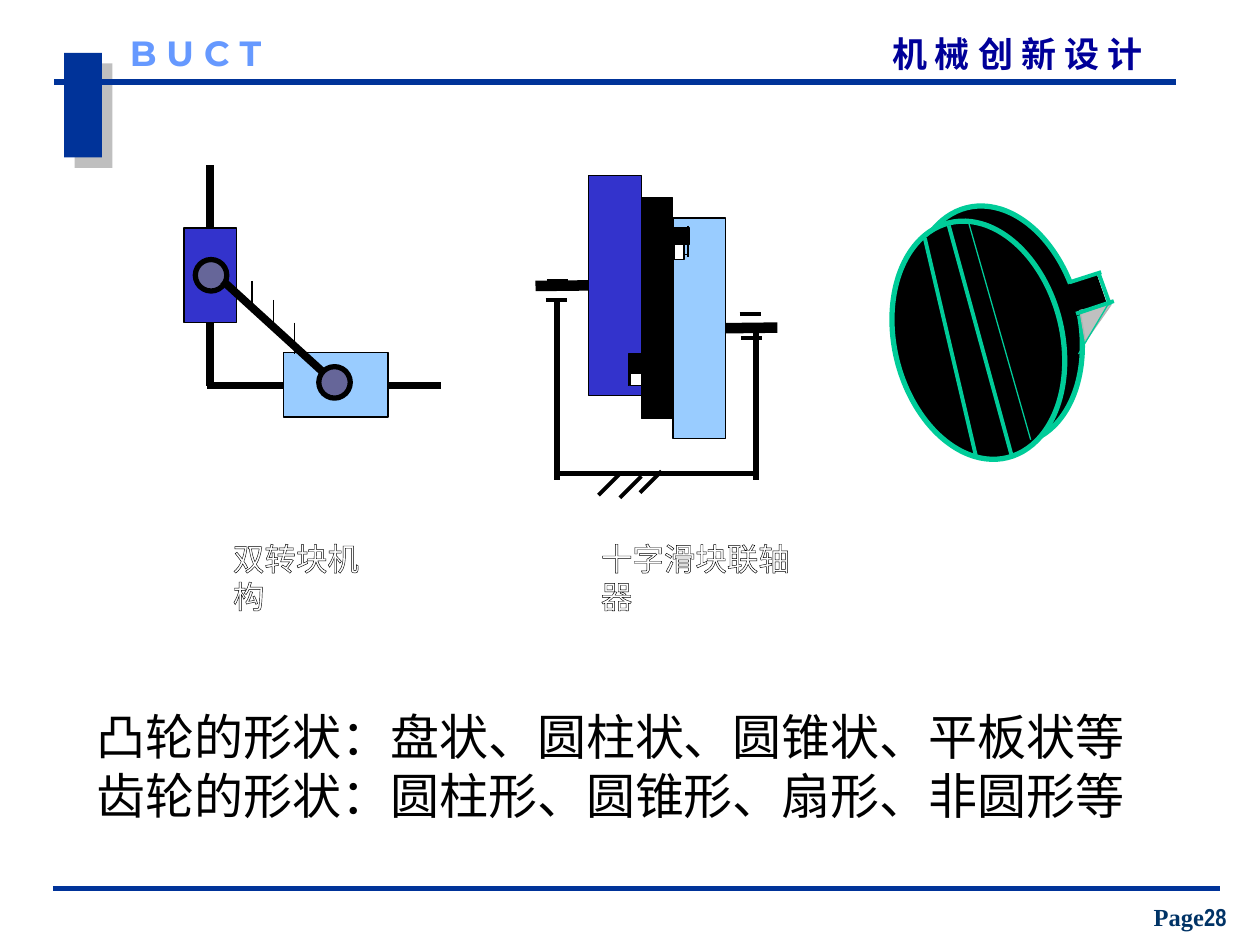
from dataclasses import dataclass

from lxml.etree import SubElement
from pptx import Presentation
from pptx.dml.color import RGBColor
from pptx.enum.shapes import MSO_CONNECTOR, MSO_SHAPE
from pptx.enum.text import MSO_ANCHOR, PP_ALIGN
from pptx.oxml import parse_xml
from pptx.oxml.ns import nsdecls, qn
from pptx.util import Inches, Pt

COLORS = {
    "rule": "003399", "title": "000099", "school": "6699FF", "page": "003366",
    "black": "000000", "white": "FFFFFF", "driver": "3333CC", "driven": "99CCFF",
    "pin": "666699", "edge": "00CC99", "face": "C0C0C0", "face_line": "B2B2B2",
    "shadow": "808080",
}
CJK_FONT = "Noto Sans CJK SC"


@dataclass
class Block:
    left: float
    top: float
    width: float
    height: float
    fill: str
    line: str | None = "black"
    weight: float = 0.75
    preset: MSO_SHAPE = MSO_SHAPE.RECTANGLE
    rotation: float = 0


@dataclass
class Segment:
    x1: float
    y1: float
    x2: float
    y2: float
    weight: float = 0.75
    color: str = "black"


@dataclass
class TextRun:
    text: str
    size: float
    font: str
    color: str
    bold: bool = False
    outlined: bool = False


def rgb(name: str) -> RGBColor:
    return RGBColor.from_string(COLORS[name])


def draw_block(slide, block: Block):
    shape = slide.shapes.add_shape(
        block.preset, Inches(block.left), Inches(block.top),
        Inches(block.width), Inches(block.height))
    shape.shadow.inherit = False
    shape.rotation = block.rotation
    shape.fill.solid()
    shape.fill.fore_color.rgb = rgb(block.fill)
    if block.line is None:
        shape.line.fill.background()
    else:
        shape.line.color.rgb = rgb(block.line)
        shape.line.width = Pt(block.weight)
    return shape


def draw_segment(slide, segment: Segment):
    connector = slide.shapes.add_connector(
        MSO_CONNECTOR.STRAIGHT, Inches(segment.x1), Inches(segment.y1),
        Inches(segment.x2), Inches(segment.y2))
    connector.line.color.rgb = rgb(segment.color)
    connector.line.width = Pt(segment.weight)
    SubElement(connector._element.spPr, qn("a:effectLst"))
    return connector


def draw_text(slide, left: float, top: float, width: float, height: float,
              lines: list[list[TextRun]], inset: bool = True, wrap: bool = True,
              align: PP_ALIGN = PP_ALIGN.LEFT, anchor: MSO_ANCHOR = MSO_ANCHOR.TOP) -> None:
    box = slide.shapes.add_textbox(Inches(left), Inches(top), Inches(width), Inches(height))
    frame = box.text_frame
    frame.word_wrap = wrap
    frame.vertical_anchor = anchor
    if not inset:
        frame.margin_left = frame.margin_right = frame.margin_top = frame.margin_bottom = 0
    paragraph = frame.paragraphs[0]
    paragraph.alignment = align
    for index, line in enumerate(lines):
        if index:
            paragraph.add_line_break()
        for item in line:
            run = paragraph.add_run()
            run.text = item.text
            run.font.size = Pt(item.size)
            run.font.name = item.font
            run.font.bold = item.bold
            run.font.color.rgb = rgb(item.color)
            properties = run.font._element
            SubElement(properties, qn("a:ea")).set("typeface", CJK_FONT)
            if item.outlined:
                properties.insert(0, parse_xml(
                    f'<a:ln {nsdecls("a")} w="{Pt(0.75)}"><a:solidFill>'
                    f'<a:srgbClr val="{COLORS["black"]}"/></a:solidFill></a:ln>'))


def draw_caption(slide, left: float, width: float, text: str) -> None:
    caption = TextRun(text, 18, CJK_FONT, "white", outlined=True)
    draw_text(slide, left, 4.23, width, 0.25, [[caption]], wrap=False)


def draw_header_and_footer(slide) -> None:
    marker = draw_block(slide, Block(0.51, 0.42, 0.3, 0.83, "rule", None))
    effects = marker._element.spPr.find(qn("a:effectLst"))
    effects.append(parse_xml(
        f'<a:outerShdw {nsdecls("a")} dist="{Pt(8.5)}" dir="2700000" algn="ctr" rotWithShape="0">'
        f'<a:srgbClr val="{COLORS["shadow"]}"><a:alpha val="50000"/></a:srgbClr></a:outerShdw>'))
    draw_segment(slide, Segment(0.43, 0.65, 9.33, 0.65, 3, "rule"))
    draw_segment(slide, Segment(0.42, 7.05, 9.68, 7.05, 3, "rule"))
    draw_text(slide, 7.08, 0.26, 2.46, 0.33,
              [[TextRun("机 械 创 新 设 计", 20, CJK_FONT, "title", True)]], inset=False)
    draw_text(slide, 1.03, 0.25, 1.42, 0.33,
              [[TextRun("B U C T", 20, "Montserrat", "school", True)]], inset=False)
    draw_text(slide, 8.97, 7.11, 0.95, 0.33,
              [[TextRun("Page", 14, "Times New Roman", "page", True),
                TextRun("28", 14, "Arial Narrow", "page", True)]],
              align=PP_ALIGN.CENTER, anchor=MSO_ANCHOR.BOTTOM)


def draw_double_block_mechanism(slide) -> None:
    draw_segment(slide, Segment(1.67, 1.31, 1.67, 3.06, 4.5))
    draw_segment(slide, Segment(1.64, 3.06, 3.5, 3.06, 4.5))
    draw_block(slide, Block(1.46, 1.81, 0.42, 0.75, "driver"))
    draw_block(slide, Block(2.25, 2.8, 0.83, 0.51, "driven"))
    for left, top in ((1.55, 2.06), (2.53, 2.91)):
        draw_block(slide, Block(left, top, 0.25, 0.25, "pin", weight=3, preset=MSO_SHAPE.OVAL))
    draw_segment(slide, Segment(1.77, 2.23, 2.56, 2.95, 4.5))
    for x, y in ((2, 2.23), (2.17, 2.38), (2.34, 2.56)):
        draw_segment(slide, Segment(x, y, x, y + 0.25))
    draw_caption(slide, 1.75, 1.25, "双转块机构")


def draw_coupling(slide) -> None:
    driver = draw_block(slide, Block(4.67, 1.39, 0.42, 1.75, "driver"))
    draw_block(slide, Block(5.09, 1.57, 0.25, 1.75, "black"))
    driven = draw_block(slide, Block(5.34, 1.73, 0.42, 1.75, "driven"))
    draw_block(slide, Block(4.99, 2.81, 0.25, 0.15, "black"))
    draw_block(slide, Block(5.22, 1.81, 0.25, 0.13, "black"))
    for x, y in ((5, 2.81), (5, 2.89), (5.35, 1.89), (5.35, 1.81), (5, 3.06), (5.37, 2.02)):
        draw_segment(slide, Segment(x, y, x + 0.09, y))
    for x, y, length in ((4.99, 2.81, 0.25), (5.45, 1.81, 0.08), (5.46, 1.79, 0.25)):
        draw_segment(slide, Segment(x, y, x, y + length))
    draw_block(slide, Block(5, 2.96, 0.09, 0.1, "white"))
    draw_block(slide, Block(5.35, 1.94, 0.08, 0.12, "white"))

    input_shaft = draw_segment(slide, Segment(4.25, 2.27, 4.67, 2.27, 6))
    input_shaft.end_connect(driver, 1)
    output_shaft = draw_segment(slide, Segment(5.76, 2.6, 6.17, 2.6, 6))
    output_shaft.begin_connect(driven, 3)
    for x, y in ((4.34, 2.23), (4.33, 2.38), (5.87, 2.49), (5.88, 2.68)):
        draw_segment(slide, Segment(x, y, x + 0.17, y, 2.25))
    for x, y in ((4.42, 2.39), (6, 2.64)):
        draw_segment(slide, Segment(x, y, x, 3.81, 3))
    draw_segment(slide, Segment(4.42, 3.76, 6, 3.76, 3))
    for x, y in ((4.92, 3.76), (5.09, 3.78), (5.25, 3.74)):
        draw_segment(slide, Segment(x, y, x - 0.17, y + 0.17, 2.25))
    draw_caption(slide, 4.67, 1.75, "十字滑块联轴器")


def draw_disc(slide) -> None:
    for left, top in ((7.24, 1.62), (7.1, 1.74)):
        draw_block(slide, Block(left, top, 1.33, 1.92, "black", "edge", 3, MSO_SHAPE.OVAL, 346))
    draw_block(slide, Block(8.5, 2.22, 0.25, 0.25, "black", rotation=341))
    draw_block(slide, Block(8.59, 2.44, 0.25, 0.25, "face", "face_line",
                            preset=MSO_SHAPE.RIGHT_TRIANGLE, rotation=80))
    for x1, y1, x2, y2, weight in (
            (8.49, 2.24, 8.74, 2.16, 2.25), (8.72, 2.17, 8.81, 2.42, 2.25),
            (8.84, 2.39, 8.54, 2.49, 2.25), (8.81, 2.39, 8.56, 2.81, 0.75),
            (7.34, 1.89, 7.75, 3.64, 2.25), (7.53, 1.79, 8.03, 3.62, 2.25),
            (7.68, 1.74, 8.18, 3.49, 0.75)):
        draw_segment(slide, Segment(x1, y1, x2, y2, weight, "edge"))


def main() -> None:
    presentation = Presentation()
    presentation.slide_width = Inches(10)
    presentation.slide_height = Inches(7.5)
    slide = presentation.slides.add_slide(presentation.slide_layouts[6])
    draw_header_and_footer(slide)
    draw_double_block_mechanism(slide)
    draw_coupling(slide)
    draw_disc(slide)
    examples = ("凸轮的形状：盘状、圆柱状、圆锥状、平板状等",
                "齿轮的形状：圆柱形、圆锥形、扇形、非圆形等")
    draw_text(slide, 0.67, 5.56, 8.66, 1.04,
              [[TextRun(text, 28, "Times New Roman", "black")] for text in examples])
    presentation.save("out.pptx")


if __name__ == "__main__":
    main()
